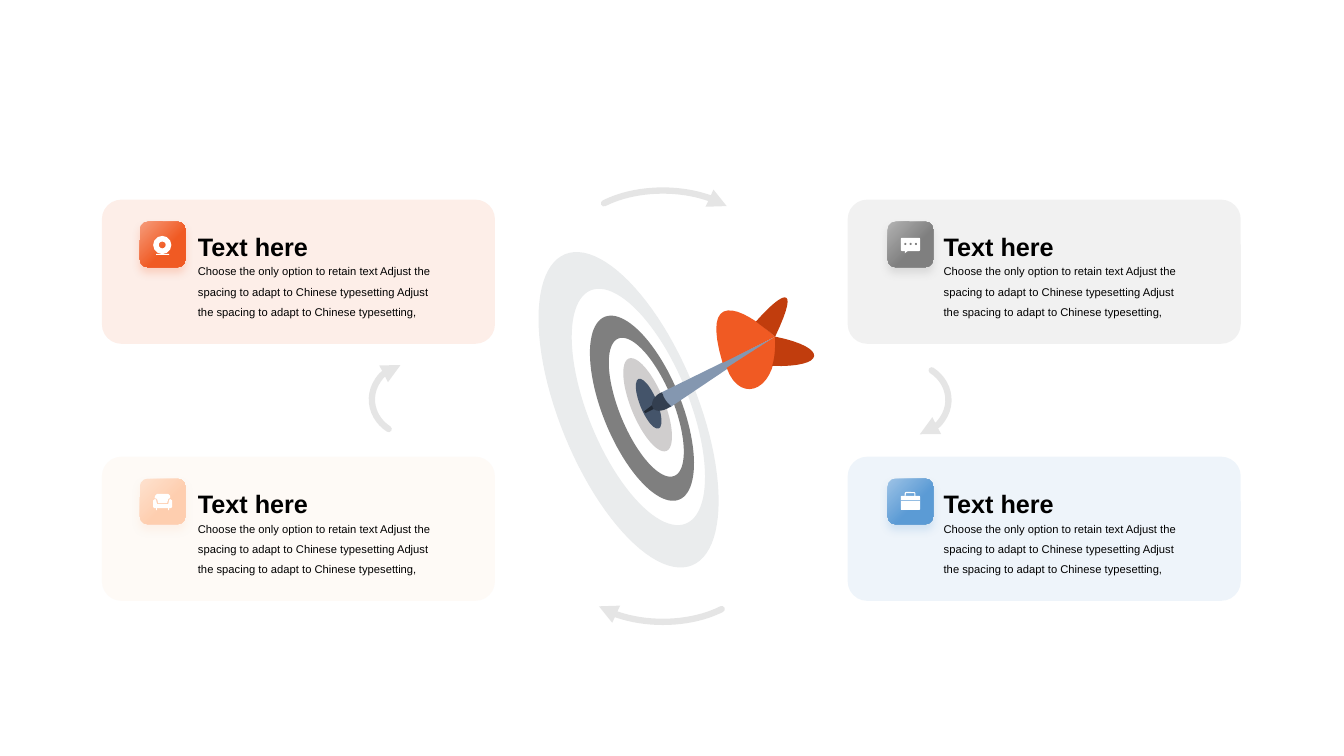
from math import cos, pi, radians, sin

from lxml.etree import SubElement
from pptx import Presentation
from pptx.dml.color import RGBColor
from pptx.enum.shapes import MSO_SHAPE as Preset
from pptx.enum.text import MSO_ANCHOR as Anchor
from pptx.oxml.ns import qn
from pptx.util import Pt

ORANGE = RGBColor(0xF0, 0x5A, 0x23)
LIGHT_ORANGE = RGBColor(0xF6, 0x9C, 0x7B)
DARK_ORANGE = RGBColor(0xC1, 0x3D, 0x0D)
GRAY = RGBColor(0x7F, 0x7F, 0x7F)
LIGHT_GRAY = RGBColor(0xB2, 0xB2, 0xB2)
PEACH = RGBColor(0xFE, 0xCE, 0xAF)
LIGHT_PEACH = RGBColor(0xFE, 0xE2, 0xCF)
BLUE = RGBColor(0x5B, 0x9B, 0xD5)
LIGHT_BLUE = RGBColor(0x9D, 0xC3, 0xE6)
ARROW_GRAY = RGBColor(0x80, 0x80, 0x80)
OUTER_RING = RGBColor(0xEA, 0xEC, 0xED)
INNER_DISC = RGBColor(0xD0, 0xCE, 0xCE)
BULLSEYE = RGBColor(0x44, 0x54, 0x6A)
SHAFT = RGBColor(0x84, 0x97, 0xB0)
COLLAR = RGBColor(0x33, 0x3F, 0x50)
TIP = RGBColor(0x22, 0x2A, 0x35)
WHITE = RGBColor(0xFF, 0xFF, 0xFF)
BLACK = RGBColor(0, 0, 0)

CARD_SIZE = (280.8, 103)
TILE_SIZE = 32.4
TILT = 67.8
HEADING = "Text here"
BODY = ("Choose the only option to retain text Adjust the spacing to adapt to "
        "Chinese typesetting Adjust the spacing to adapt to Chinese typesetting,")

TAIL = (165.7, 60.5)
DART_PARTS = [
    (TIP, (80, 111.6), [[(72.8, 115.2)], [(72.1, 113.8)], [(77.8, 109.4)]]),
    (SHAFT, (90.8, 110.9), [[(87.2, 107.3), (85.8, 103.7), (85, 100.1)], [TAIL]]),
    (ORANGE, (131.1, 82.8), [[(141.2, 110.9), (169.3, 97.9), TAIL]]),
    (ORANGE, (128.2, 79.2), [[TAIL], [(141.2, 38.2), (112.4, 26.6), (128.2, 79.2)]]),
    (DARK_ORANGE, TAIL, [[(185.8, 18), (167.8, 31.7), (152, 49.7)],
                         [(155.6, 52.6), (159.9, 55.4), TAIL]]),
    (DARK_ORANGE, TAIL, [[(204.6, 68.4), (201.7, 82.8), (163.5, 81.4)],
                         [(165.7, 74.9), (165.7, 67.7), TAIL]]),
    (COLLAR, (91.5, 110.2), [[(75.7, 120.2), (73.5, 104.4), (85, 100.1)],
                             [(85.8, 103.7), (87.9, 107.3), (91.5, 110.2)]]),
]

SOFA_BACK = [(12.2, 10.8), (20.2, 10.8), (21.6, 12.2), (21.6, 13.7), (20.2, 14.4),
             (19.4, 17.3), (13, 17.3), (12.2, 14.4), (10.4, 13.7), (10.8, 12.2)]
SOFA_SEAT = [(9.4, 15.5), (10.8, 14.4), (11.5, 15.1), (12.2, 18), (20.2, 18),
             (20.9, 15.1), (21.6, 14.4), (23, 15.5), (23, 20.2), (22.3, 20.9),
             (20.9, 20.9), (20.9, 22.3), (20.2, 22.3), (20.2, 20.9), (12.2, 20.9),
             (12.2, 22.3), (11.5, 22.3), (11.5, 20.9), (10.1, 20.9), (9.4, 20.2)]


def plain(slide, preset, box, color=None):
    """Add a preset shape without line or shadow."""
    shape = slide.shapes.add_shape(preset, *map(Pt, box))
    shape.shadow.inherit = False
    shape.line.fill.background()
    if color is None:
        shape.fill.background()
    else:
        shape.fill.solid()
        shape.fill.fore_color.rgb = color
    return shape


def outline(slide, origin, contours, color):
    """Add a filled outline from contours placed relative to origin."""
    placed = [[(Pt(origin[0] + x), Pt(origin[1] + y)) for x, y in contour]
              for contour in contours]
    builder = slide.shapes.build_freeform(*placed[0][0])
    builder.add_line_segments(placed[0][1:])
    for hole in placed[1:]:
        builder.move_to(*hole[0])
        builder.add_line_segments(hole[1:])
    shape = builder.convert_to_shape()
    shape.shadow.inherit = False
    shape.line.fill.background()
    shape.fill.solid()
    shape.fill.fore_color.rgb = color


def set_alpha(shape, percent):
    """Make the first colour of a shape partly transparent."""
    color = shape.element.spPr.find(".//" + qn("a:srgbClr"))
    SubElement(color, qn("a:alpha"), val=str(percent * 1000))


def curve(start, segments, steps=16):
    """Return the points along line and cubic Bézier segments."""
    points = [start]
    for segment in segments:
        if len(segment) == 1:
            points += segment
            continue
        knots = [points[-1], *segment]
        for step in range(1, steps + 1):
            t = step / steps
            weights = ((1 - t) ** 3, 3 * t * (1 - t) ** 2, 3 * t * t * (1 - t), t ** 3)
            points.append(tuple(sum(w * knot[axis] for w, knot in zip(weights, knots))
                                for axis in (0, 1)))
    return points


def tilted_ellipse(center, width, height, steps=96):
    """Return the points of an ellipse turned by the tilt of the target."""
    turn = radians(TILT)
    points = []
    for step in range(steps):
        angle = 2 * pi * step / steps
        u, v = width / 2 * cos(angle), height / 2 * sin(angle)
        points.append((center[0] + u * cos(turn) - v * sin(turn),
                       center[1] + u * sin(turn) + v * cos(turn)))
    return points


def webcam(slide, x, y, accent):
    """Draw a webcam on a tile."""
    lens = plain(slide, Preset.DONUT, (x + 9.4, y + 10.1, 13, 13), WHITE)
    lens.adjustments[0] = 0.31
    plain(slide, Preset.RECTANGLE, (x + 11.5, y + 22.9, 9.4, 0.8), WHITE)


def chat(slide, x, y, accent):
    """Draw a speech bubble on a tile."""
    bubble = plain(slide, Preset.ROUNDED_RECTANGLE, (x + 9.4, y + 11.5, 13.7, 9.4), WHITE)
    bubble.adjustments[0] = 0.08
    outline(slide, (x, y), [[(12.2, 20.5), (14.8, 20.5), (12.2, 22.5)]], WHITE)
    for index in range(3):
        plain(slide, Preset.OVAL, (x + 11.8 + 3.8 * index, y + 15.1, 1.5, 1.5), accent)


def sofa(slide, x, y, accent):
    """Draw a sofa on a tile."""
    for part in (SOFA_BACK, SOFA_SEAT):
        outline(slide, (x, y), [part], WHITE)


def briefcase(slide, x, y, accent):
    """Draw a briefcase on a tile."""
    handle = plain(slide, Preset.ROUNDED_RECTANGLE, (x + 12.5, y + 9.8, 6.9, 4))
    handle.line.color.rgb = WHITE
    handle.line.width = Pt(0.75)
    body = plain(slide, Preset.ROUNDED_RECTANGLE, (x + 9.4, y + 12.2, 13.7, 10.1), WHITE)
    body.adjustments[0] = 0.06
    plain(slide, Preset.RECTANGLE, (x + 9.4, y + 15.2, 13.7, 0.4), accent)


def tile(slide, x, y, light, accent, glyph):
    """Draw a shaded icon tile with its glyph."""
    base = plain(slide, Preset.ROUNDED_RECTANGLE, (x, y, TILE_SIZE, TILE_SIZE))
    base.fill.gradient()
    base.fill.gradient_angle = 315
    for stop, color, position in zip(base.fill.gradient_stops, (light, accent), (0, 0.6)):
        stop.color.rgb = color
        stop.position = position
    effects = base.element.spPr.find(qn("a:effectLst"))
    glow = SubElement(effects, qn("a:outerShdw"), blurRad=str(Pt(6)), dist=str(Pt(4)),
                      dir="5400000", algn="t", rotWithShape="0")
    color = SubElement(glow, qn("a:srgbClr"), val=str(accent))
    SubElement(color, qn("a:alpha"), val="20000")
    glyph(slide, x, y, accent)


def label(slide, box, text, size, bold=False, spacing=None, anchor=Anchor.TOP):
    """Add one wrapped paragraph of card text."""
    frame = slide.shapes.add_textbox(*map(Pt, box)).text_frame
    frame.word_wrap = True
    frame.vertical_anchor = anchor
    paragraph = frame.paragraphs[0]
    paragraph.text = text
    paragraph.line_spacing = spacing
    paragraph.font.name = "Arial"
    paragraph.font.size = Pt(size)
    paragraph.font.bold = bold
    paragraph.font.color.rgb = BLACK


def card(slide, x, y, tile_dx, light, accent, glyph):
    """Draw a tinted card with its tile, heading and body."""
    panel = plain(slide, Preset.ROUNDED_RECTANGLE, (x, y, *CARD_SIZE), accent)
    panel.adjustments[0] = 0.136
    set_alpha(panel, 10)
    label(slide, (x + 61.5, y + 38.2, 191.5, 49), BODY, 8, spacing=1.5)
    label(slide, (x + 61.5, y + 18.7, 191.5, 28.8), HEADING, 18, True, anchor=Anchor.MIDDLE)
    tile(slide, x + tile_dx, y + 15.8, light, accent, glyph)


def cycle_arrow(slide, box, rotation, start, end):
    """Draw a curved arrow between two angles in degrees."""
    arrow = plain(slide, Preset.ARC, box)
    arrow.rotation = rotation
    arrow.adjustments[0], arrow.adjustments[1] = start * 0.6, end * 0.6
    arrow.line.color.rgb = ARROW_GRAY
    arrow.line.width = Pt(4.5)
    set_alpha(arrow, 20)
    line = arrow.element.spPr.find(qn("a:ln"))
    line.set("cap", "rnd")
    SubElement(line, qn("a:tailEnd"), type="triangle")


def target(slide, x, y):
    """Draw the tilted target and the dart in it."""
    for color, rim, hole in (
            (GRAY, ((70.6, 111.6), 141, 56), ((73.7, 110.9), 106, 38.5)),
            (OUTER_RING, ((61, 112.7), 240, 98.6), ((68, 110.7), 180, 72))):
        outline(slide, (x, y), [tilted_ellipse(*rim), tilted_ellipse(*hole)], color)
    for color, cx, cy, width, height in ((INNER_DISC, 74.6, 109.1, 71.3, 23.8),
                                         (BULLSEYE, 75.3, 108.4, 38.2, 12.2)):
        box = (x + cx - width / 2, y + cy - height / 2, width, height)
        plain(slide, Preset.OVAL, box, color).rotation = TILT
    for color, start, segments in DART_PARTS:
        outline(slide, (x, y), [curve(start, segments)], color)


def main():
    """Build the slide and save it."""
    deck = Presentation()
    deck.slide_width, deck.slide_height = Pt(960), Pt(540)
    slide = deck.slides.add_slide(deck.slide_layouts[6])
    card(slide, 605.5, 142.6, 28.6, LIGHT_GRAY, GRAY, chat)
    card(slide, 72.8, 142.6, 27.2, LIGHT_ORANGE, ORANGE, webcam)
    card(slide, 605.5, 326.2, 28.6, LIGHT_BLUE, BLUE, briefcase)
    card(slide, 72.8, 326.2, 27.2, LIGHT_PEACH, PEACH, sofa)
    for y, rotation in ((136.1, 0), (368.6, 180)):
        cycle_arrow(slide, (409, y, 128.9, 75.6), rotation, 214.31, 329.68)
    for x, rotation in ((267.8, 272.7), (624.2, 92.7)):
        cycle_arrow(slide, (x, 257.8, 51.1, 55.4), rotation, 214.15, 340.89)
    target(slide, 388, 180)
    deck.save("out.pptx")


if __name__ == "__main__":
    main()
